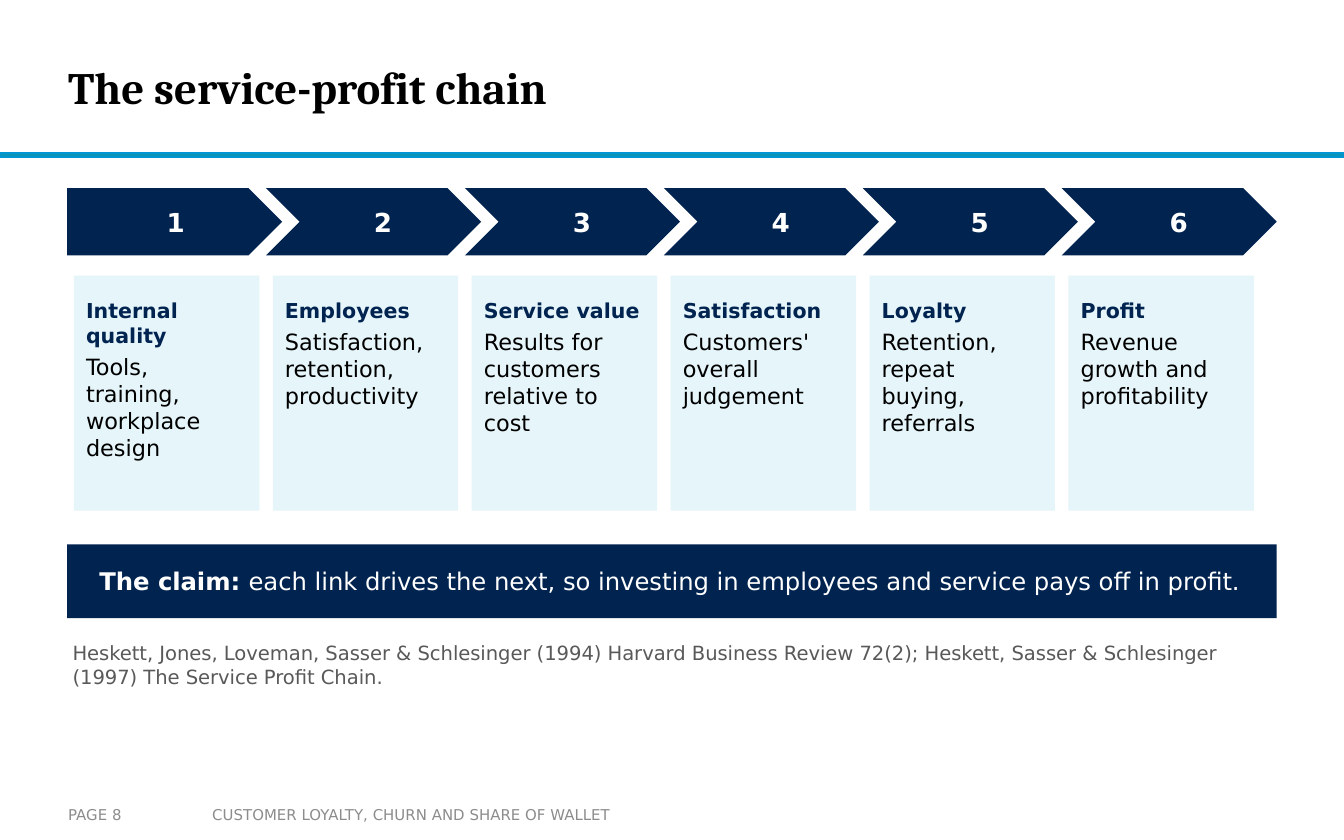
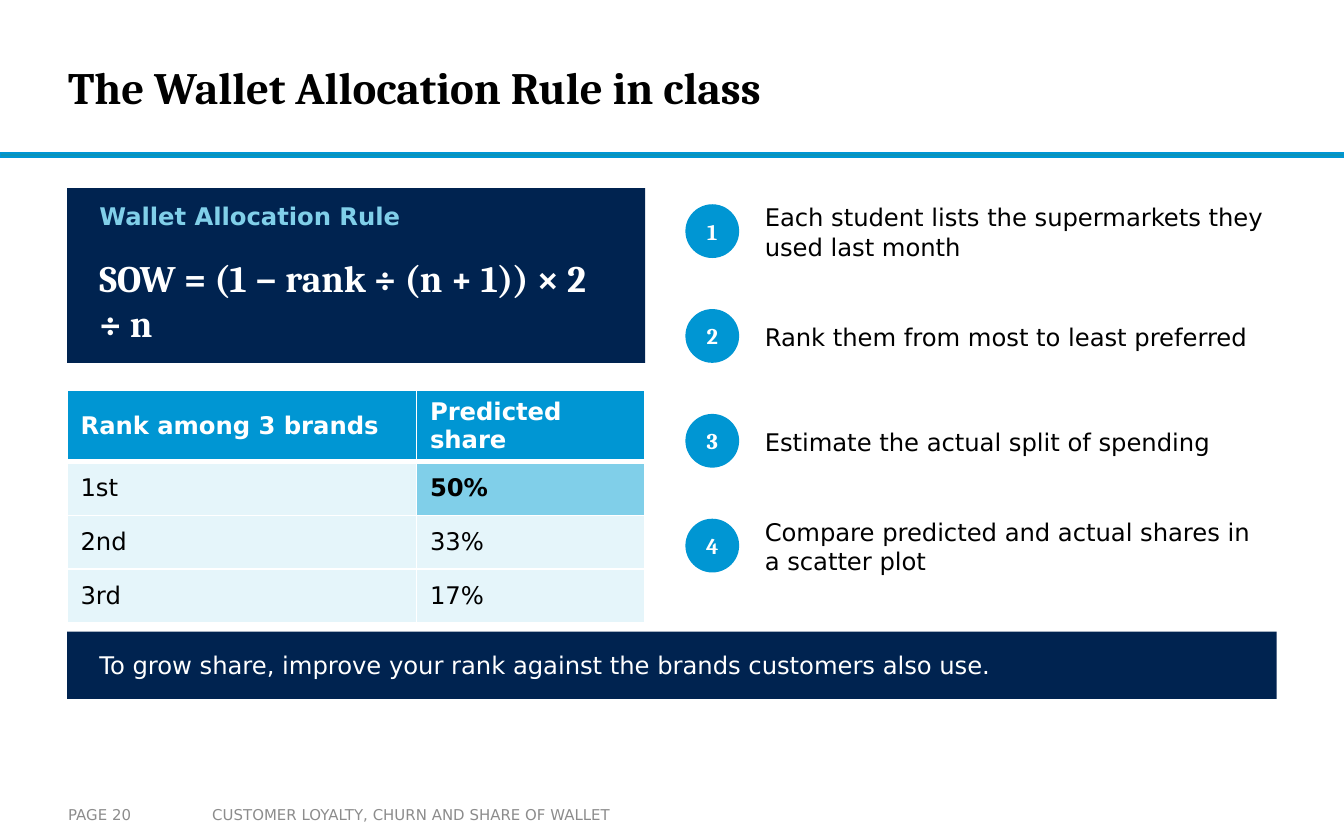
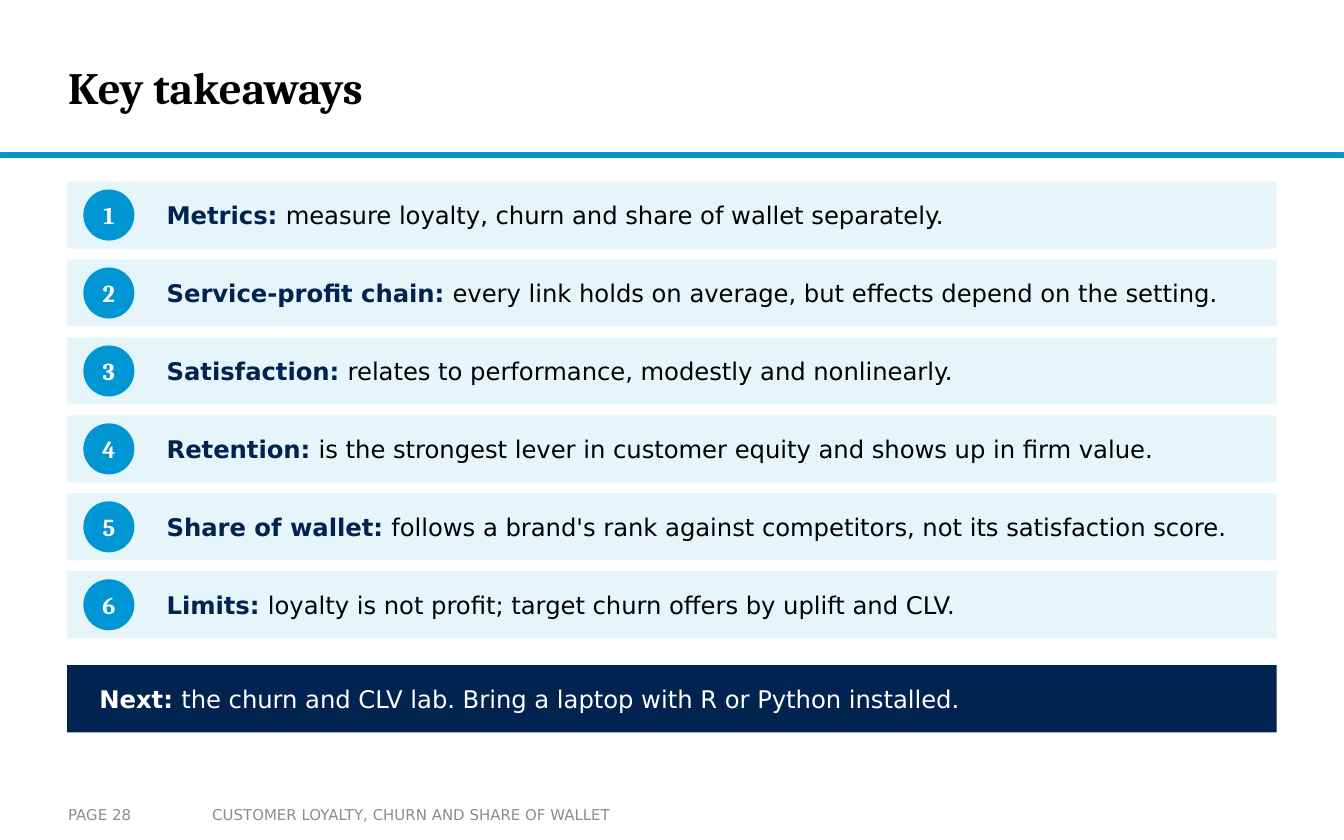
from lxml import etree
from pptx import Presentation
from pptx import util as u
from pptx.dml import color
from pptx.enum import shapes, text
from pptx.oxml import ns

NAVY, BLUE, SKY, PALE = "002350", "0096D3", "80CFE9", "E5F5FA"
RULE, GREY, SOURCE = "0C94B7", "8C8C8C", "595959"
WHITE, BLACK = "FFFFFF", "000000"
SERIF, SANS = "Cambria", "DejaVu Sans"

WIDTH, HEIGHT = 720, 450
LEFT, CONTENT = 36, 648
TIGHT = (2.88, 1.44, 2.88, 1.44)  # left, top, right, bottom insets
NONE = (0, 0, 0, 0)
MIDDLE, TOP = text.MSO_ANCHOR.MIDDLE, text.MSO_ANCHOR.TOP
CENTER = text.PP_ALIGN.CENTER
SHAPE = shapes.MSO_SHAPE
FOOTER = "CUSTOMER LOYALTY, CHURN AND SHARE OF WALLET"


def rgb(value):
    return color.RGBColor.from_string(value)


def points(*values):
    return [u.Pt(value) for value in values]


def write(frame, paragraphs, size=13, font=SANS, ink=BLACK, bold=False,
          align=None, anchor=MIDDLE, insets=TIGHT, after=0):
    """Fill a frame; paragraphs are strings or lists of (text, overrides)."""
    frame.word_wrap = True
    frame.vertical_anchor = anchor
    (frame.margin_left, frame.margin_top,
     frame.margin_right, frame.margin_bottom) = points(*insets)
    for i, parts in enumerate(paragraphs):
        line = frame.paragraphs[0] if i == 0 else frame.add_paragraph()
        line.alignment = align
        line.space_after = u.Pt(after)
        for words, own in [(parts, {})] if isinstance(parts, str) else parts:
            run = line.add_run()
            run.text = words
            run.font.name = font
            run.font.size = u.Pt(own.get("size", size))
            run.font.bold = own.get("bold", bold)
            run.font.color.rgb = rgb(own.get("ink", ink))


def label(slide, box, paragraphs, **look):
    write(slide.shapes.add_textbox(*points(*box)).text_frame, paragraphs, **look)


def block(slide, box, fill, kind=SHAPE.RECTANGLE, line=None):
    area = slide.shapes.add_shape(kind, *points(*box))
    area.shadow.inherit = False
    area.fill.solid()
    area.fill.fore_color.rgb = rgb(fill)
    if line:
        area.line.color.rgb = rgb(line)
        area.line.width = u.Pt(1)
    else:
        area.line.fill.background()
    return area


def badge(slide, x, y, diameter, number, size):
    circle = block(slide, (x, y, diameter, diameter), BLUE, SHAPE.OVAL)
    write(circle.text_frame, [str(number)], size=size, font=SERIF, ink=WHITE,
          bold=True, align=CENTER, insets=NONE)


def banner(slide, y, height, message, lead=""):
    """Navy band with an optional bold lead-in."""
    block(slide, (LEFT, y, CONTENT, height), NAVY)
    parts = [(lead, {"bold": True})] if lead else []
    label(slide, (LEFT + 14.4, y, CONTENT - 28.8, height),
          [parts + [(message, {})]], ink=WHITE)


def new_slide(deck, title, page):
    """Slide with the shared rule, title and footer."""
    slide = deck.slides.add_slide(deck.slide_layouts[6])
    block(slide, (0, 82, WIDTH, 2), RULE, line=BLUE)
    label(slide, (36.5, 10.8, 538.5, 71.2), [title], size=24, font=SERIF,
          bold=True, insets=NONE)
    label(slide, (106.6, 426.2, 253.4, 20.2), [FOOTER], size=8, ink=GREY,
          insets=(7.2, 3.6, 7.2, 3.6))
    label(slide, (36.5, 426.2, 70.5, 20.2), [f"PAGE {page}"], size=8, ink=GREY,
          insets=(0, 3.6, 0, 3.6))
    return slide


# Service-profit chain
def chain_link(slide, x, y, number, heading, details):
    """One numbered arrow with its card below."""
    kind = SHAPE.PENTAGON if number == 1 else SHAPE.CHEVRON
    arrow = block(slide, (x, y, 115.2, 36), NAVY, kind)
    write(arrow.text_frame, [str(number)], size=14, ink=WHITE, bold=True,
          align=CENTER, insets=(15.84, 3.6, 5.76, 3.6))
    block(slide, (x + 3.6, y + 46.8, 99.36, 126), PALE)
    label(slide, (x + 7.2, y + 57.6, 92.16, 86.4),
          [[(heading, {"size": 11, "bold": True, "ink": NAVY})], details],
          size=12, anchor=TOP, after=3)


def chain_slide(deck):
    slide = new_slide(deck, "The service-profit chain", 8)
    links = [
        ("Internal quality", "Tools, training, workplace design"),
        ("Employees", "Satisfaction, retention, productivity"),
        ("Service value", "Results for customers relative to cost"),
        ("Satisfaction", "Customers' overall judgement"),
        ("Loyalty", "Retention, repeat buying, referrals"),
        ("Profit", "Revenue growth and profitability"),
    ]
    for i, (heading, details) in enumerate(links):
        chain_link(slide, LEFT + i * 106.56, 100.8, i + 1, heading, details)
    banner(slide, 291.6, 39.6, "each link drives the next, so investing in "
           "employees and service pays off in profit.", "The claim: ")
    label(slide, (LEFT, 342, CONTENT, 25.2),
          ["Heskett, Jones, Loveman, Sasser & Schlesinger (1994) Harvard "
           "Business Review 72(2); Heskett, Sasser & Schlesinger (1997) "
           "The Service Profit Chain."],
          size=10.5, ink=SOURCE, anchor=TOP)


# Wallet Allocation Rule
def formula_panel(slide, x, y, width, height):
    block(slide, (x, y, width, height), NAVY)
    label(slide, (x + 14.4, y + 5.76, width - 28.8, 28.8),
          ["Wallet Allocation Rule"], ink=SKY, bold=True, anchor=TOP, after=6)
    label(slide, (x + 14.4, y + 34.56, width - 28.8, 50.4),
          ["SOW = (1 − rank ÷ (n + 1)) × 2 ÷ n"], size=20, font=SERIF,
          ink=WHITE, bold=True, anchor=TOP, after=6)


def cell_borders(cell, top, bottom):
    """White borders, in schema order ahead of the cell fill."""
    props = cell._tc.get_or_add_tcPr()
    for i, (side, weight) in enumerate(
            [("L", 1), ("R", 1), ("T", top), ("B", bottom)]):
        edge = etree.Element(ns.qn(f"a:ln{side}"), w=str(u.Pt(weight)))
        paint = etree.SubElement(edge, ns.qn("a:solidFill"))
        etree.SubElement(paint, ns.qn("a:srgbClr"), val=WHITE)
        props.insert(i, edge)


def share_table(slide, x, y):
    rows = [("Rank among 3 brands", "Predicted share"),
            ("1st", "50%"), ("2nd", "33%"), ("3rd", "17%")]
    widths = points(187.2, 122.4)
    shares = slide.shapes.add_table(len(rows), len(widths),
                                    *points(x, y, 309.6, 115.2)).table
    for column, width in zip(shares.columns, widths):
        column.width = width
    for r, row in enumerate(rows):
        shares.rows[r].height = u.Pt(28.8)
        for c, value in enumerate(row):
            cell = shares.cell(r, c)
            header, winner = r == 0, (r, c) == (1, 1)
            write(cell.text_frame, [value], ink=WHITE if header else BLACK,
                  bold=header or winner, anchor=None, insets=(7.2, 3.6, 7.2, 3.6))
            cell.vertical_anchor = MIDDLE
            cell.margin_left = cell.margin_right = u.Pt(7.2)
            cell.margin_top = cell.margin_bottom = u.Pt(3.6)
            cell.fill.solid()
            cell.fill.fore_color.rgb = rgb(
                BLUE if header else SKY if winner else PALE)
            cell_borders(cell, 3 if r == 1 else 1, 3 if header else 1)


def class_steps(slide, x, y):
    steps = ["Each student lists the supermarkets they used last month",
             "Rank them from most to least preferred",
             "Estimate the actual split of spending",
             "Compare predicted and actual shares in a scatter plot"]
    for i, step in enumerate(steps):
        row = y + i * 56.16
        badge(slide, x, row + 8.64, 28.8, i + 1, 12)
        label(slide, (x + 39.6, row, 277.2, 46.8), [step])


def wallet_slide(deck):
    slide = new_slide(deck, "The Wallet Allocation Rule in class", 20)
    formula_panel(slide, LEFT, 100.8, 309.6, 93.6)
    share_table(slide, LEFT, 208.8)
    class_steps(slide, 367.2, 100.8)
    banner(slide, 338.4, 36, "To grow share, improve your rank against the "
           "brands customers also use.")


# Key takeaways
def takeaway(slide, x, y, number, topic, message):
    block(slide, (x, y, CONTENT, 36), PALE)
    badge(slide, x + 8.64, y + 4.32, 27.36, number, 13)
    label(slide, (x + 50.4, y, 586.8, 36),
          [[(topic + ": ", {"bold": True, "ink": NAVY}), (message, {})]])


def takeaways_slide(deck):
    slide = new_slide(deck, "Key takeaways", 28)
    lessons = [
        ("Metrics", "measure loyalty, churn and share of wallet separately."),
        ("Service-profit chain",
         "every link holds on average, but effects depend on the setting."),
        ("Satisfaction", "relates to performance, modestly and nonlinearly."),
        ("Retention",
         "is the strongest lever in customer equity and shows up in firm value."),
        ("Share of wallet",
         "follows a brand's rank against competitors, not its satisfaction score."),
        ("Limits",
         "loyalty is not profit; target churn offers by uplift and CLV."),
    ]
    for i, (topic, message) in enumerate(lessons):
        takeaway(slide, LEFT, 97.2 + i * 41.76, i + 1, topic, message)
    banner(slide, 356.4, 36, "the churn and CLV lab. Bring a laptop with R or "
           "Python installed.", "Next: ")


def main():
    deck = Presentation()
    deck.slide_width, deck.slide_height = points(WIDTH, HEIGHT)
    chain_slide(deck)
    wallet_slide(deck)
    takeaways_slide(deck)
    deck.save("out.pptx")


if __name__ == "__main__":
    main()
